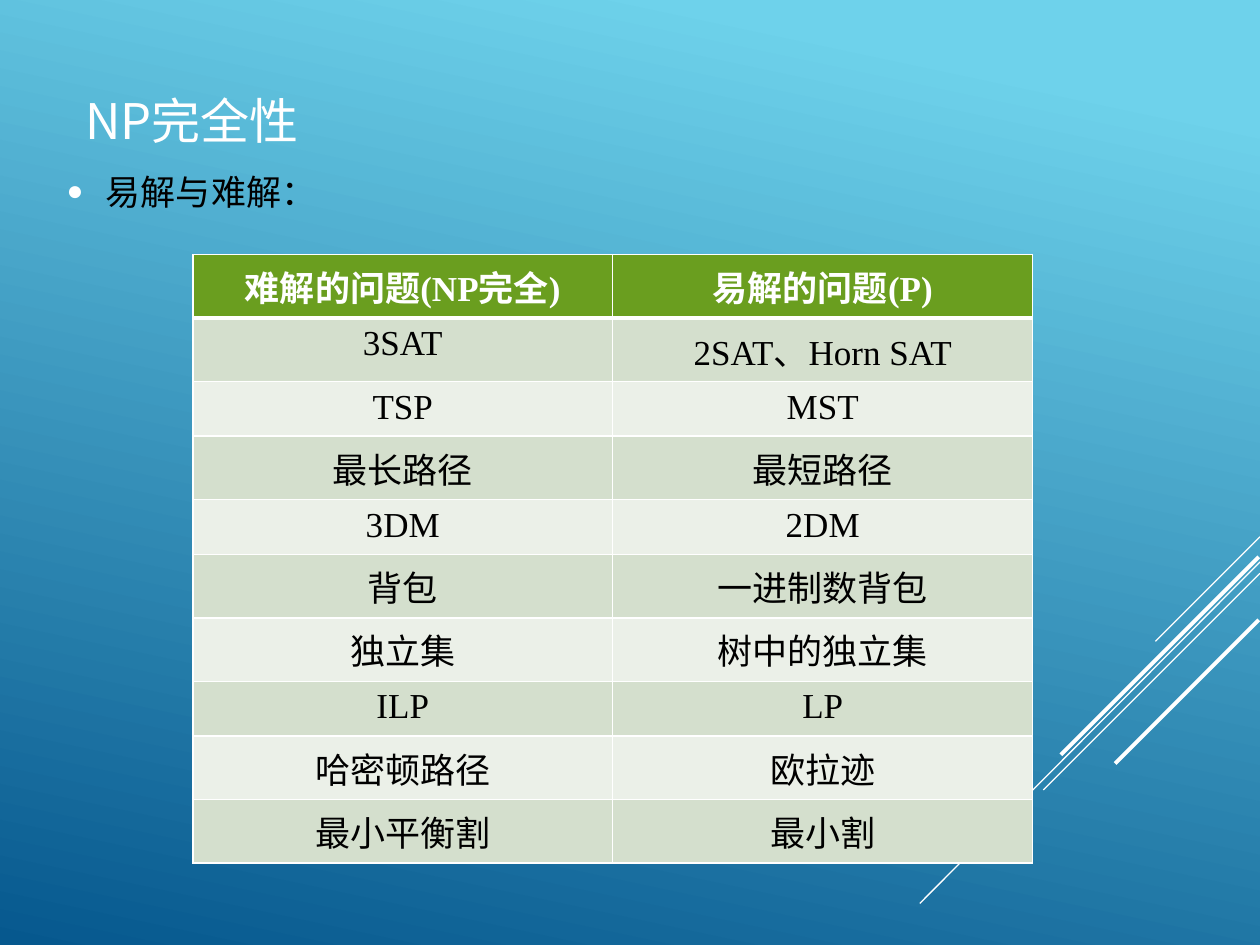
from lxml import etree
from pptx import Presentation
from pptx.dml.color import RGBColor
from pptx.enum.shapes import MSO_CONNECTOR
from pptx.enum.text import MSO_ANCHOR, PP_ALIGN
from pptx.oxml.ns import qn
from pptx.util import Inches, Pt

STRAIGHT = MSO_CONNECTOR.STRAIGHT
TOP, MIDDLE = MSO_ANCHOR.TOP, MSO_ANCHOR.MIDDLE
LEFT, CENTER = PP_ALIGN.LEFT, PP_ALIGN.CENTER

WHITE = RGBColor(0xFF, 0xFF, 0xFF)
BLACK = RGBColor(0x00, 0x00, 0x00)
SKY = RGBColor(0x6E, 0xD2, 0xEB)
NAVY = RGBColor(0x06, 0x58, 0x8E)
GREEN = RGBColor(0x6A, 0x9E, 0x1F)
BANDS = [RGBColor(0xEB, 0xF0, 0xE8), RGBColor(0xD4, 0xDF, 0xCD)]

SERIF = "Times New Roman"
SANS = "Noto Sans CJK SC"


def write_text(frame, text, font=SERIF, size=20, color=BLACK, bold=False,
               align=LEFT, anchor=TOP):
    frame.word_wrap = True
    frame.vertical_anchor = anchor
    para = frame.paragraphs[0]
    para.alignment = align
    span = para.add_run()
    span.text = text
    span.font.name = font
    span.font.size = Pt(size)
    span.font.bold = bold
    span.font.color.rgb = color
    etree.SubElement(span.font._element, qn("a:ea"), typeface=SANS)
    return para


def add_border(cell, side, points):
    properties = cell._tc.get_or_add_tcPr()
    line = etree.SubElement(properties, qn(f"a:ln{side}"), w=str(Pt(points)))
    fill = etree.SubElement(line, qn("a:solidFill"))
    etree.SubElement(fill, qn("a:srgbClr"), val=str(WHITE))


deck = Presentation()
deck.slide_width, deck.slide_height = Inches(10), Inches(7.5)
page = deck.slides.add_slide(deck.slide_layouts[6])

# Background gradient
backdrop = page.background.fill
backdrop.gradient()
backdrop.gradient_angle = 360 - 102
for stop, color, position in zip(backdrop.gradient_stops, (SKY, NAVY), (0.1, 1)):
    stop.color.rgb = color
    stop.position = position

# Diagonal lines: start x, start y, end x, end y, width in points
DIAGONALS = [
    (10, 4.26, 9.17, 5.09, 0.75),
    (10, 4.46, 7.3, 7.17, 0.75),
    (10, 4.55, 8.28, 6.27, 0.75),
    (9.99, 4.42, 8.42, 5.99, 2.25),
    (9.99, 4.92, 8.85, 6.06, 2.25),
]
for *ends, width in DIAGONALS:
    diagonal = page.shapes.add_connector(STRAIGHT, *map(Inches, ends))
    diagonal.line.color.rgb = WHITE
    diagonal.line.width = Pt(width)
    etree.SubElement(diagonal._element.spPr, qn("a:effectLst"))

# Title and bullet
title = page.shapes.add_textbox(Inches(0.58), Inches(0.58), Inches(8.83), Inches(0.74))
write_text(title.text_frame, "NP完全性", font=SANS, size=28, color=WHITE, anchor=MIDDLE)

body = page.shapes.add_textbox(Inches(0.43), Inches(1.3), Inches(9.17), Inches(5.91))
bullet = write_text(body.text_frame, "易解与难解：")
bullet_format = bullet._p.get_or_add_pPr()
hang = Pt(22.5)
bullet_format.set("marL", str(hang))
bullet_format.set("indent", str(-hang))
bullet_color = etree.SubElement(bullet_format, qn("a:buClr"))
etree.SubElement(bullet_color, qn("a:srgbClr"), val=str(WHITE))
etree.SubElement(bullet_format, qn("a:buSzPct"), val="80000")
etree.SubElement(bullet_format, qn("a:buFont"), typeface=SERIF)
etree.SubElement(bullet_format, qn("a:buChar"), char="●")

# Hard and easy problems
PROBLEMS = [
    ("难解的问题(NP完全)", "易解的问题(P)"),
    ("3SAT", "2SAT、Horn SAT"),
    ("TSP", "MST"),
    ("最长路径", "最短路径"),
    ("3DM", "2DM"),
    ("背包", "一进制数背包"),
    ("独立集", "树中的独立集"),
    ("ILP", "LP"),
    ("哈密顿路径", "欧拉迹"),
    ("最小平衡割", "最小割"),
]
COLUMN, LATIN_ROW, CHINESE_ROW = Pt(240), Pt(29.4), Pt(36.3)
table = page.shapes.add_table(len(PROBLEMS), 2, Inches(1.53), Inches(2.02),
                              2 * COLUMN, len(PROBLEMS) * CHINESE_ROW).table
for column in table.columns:
    column.width = COLUMN
for row_index, problems in enumerate(PROBLEMS):
    header = row_index == 0
    latin = "".join(problems).isascii()
    table.rows[row_index].height = LATIN_ROW if latin else CHINESE_ROW
    for column_index, problem in enumerate(problems):
        cell = table.cell(row_index, column_index)
        for side in "LRTB":
            thick = (header and side == "B") or (row_index == 1 and side == "T")
            add_border(cell, side, 3 if thick else 1)
        cell.fill.solid()
        cell.fill.fore_color.rgb = GREEN if header else BANDS[row_index % 2]
        write_text(cell.text_frame, problem, color=WHITE if header else BLACK,
                   bold=header, align=CENTER)

deck.save("out.pptx")
